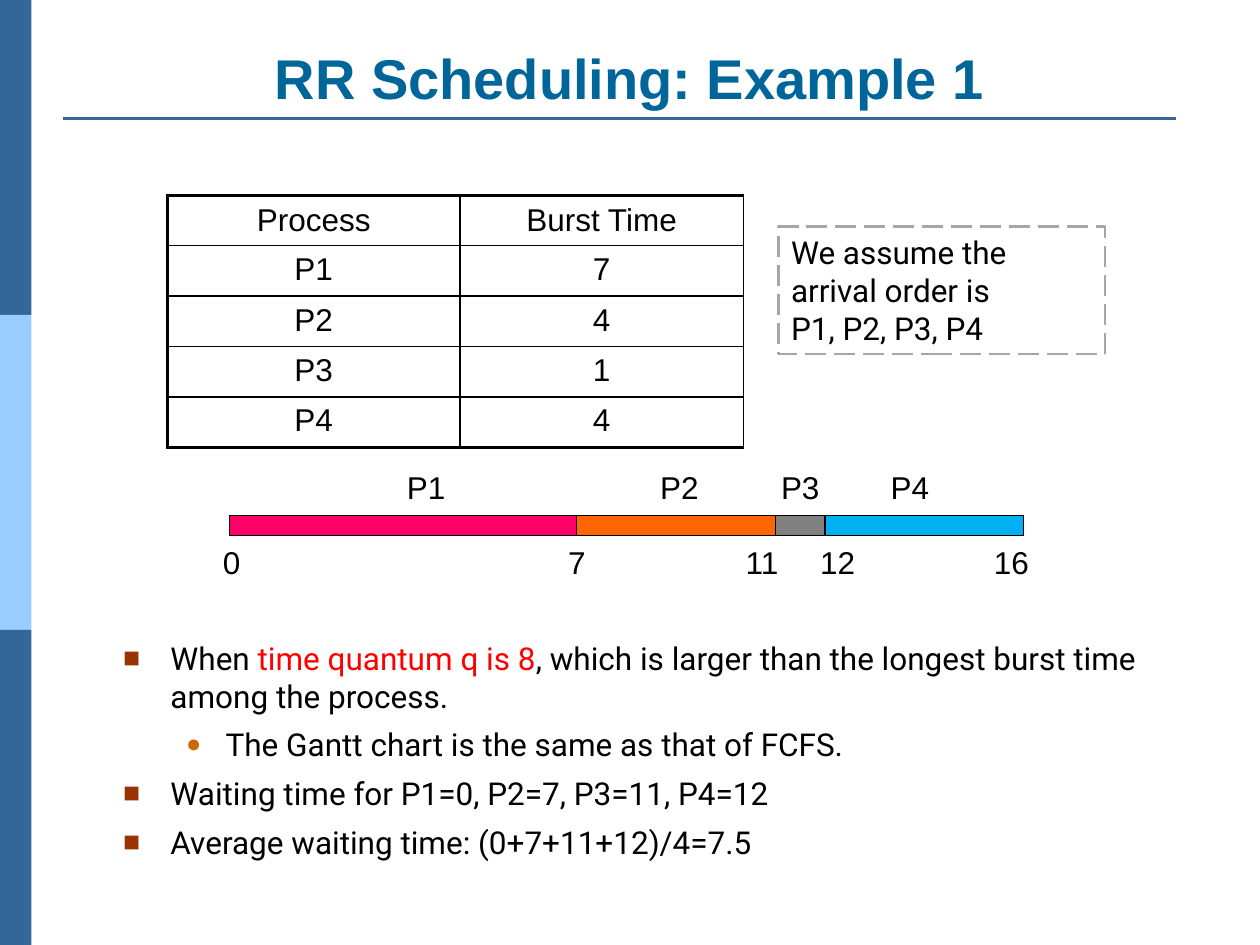
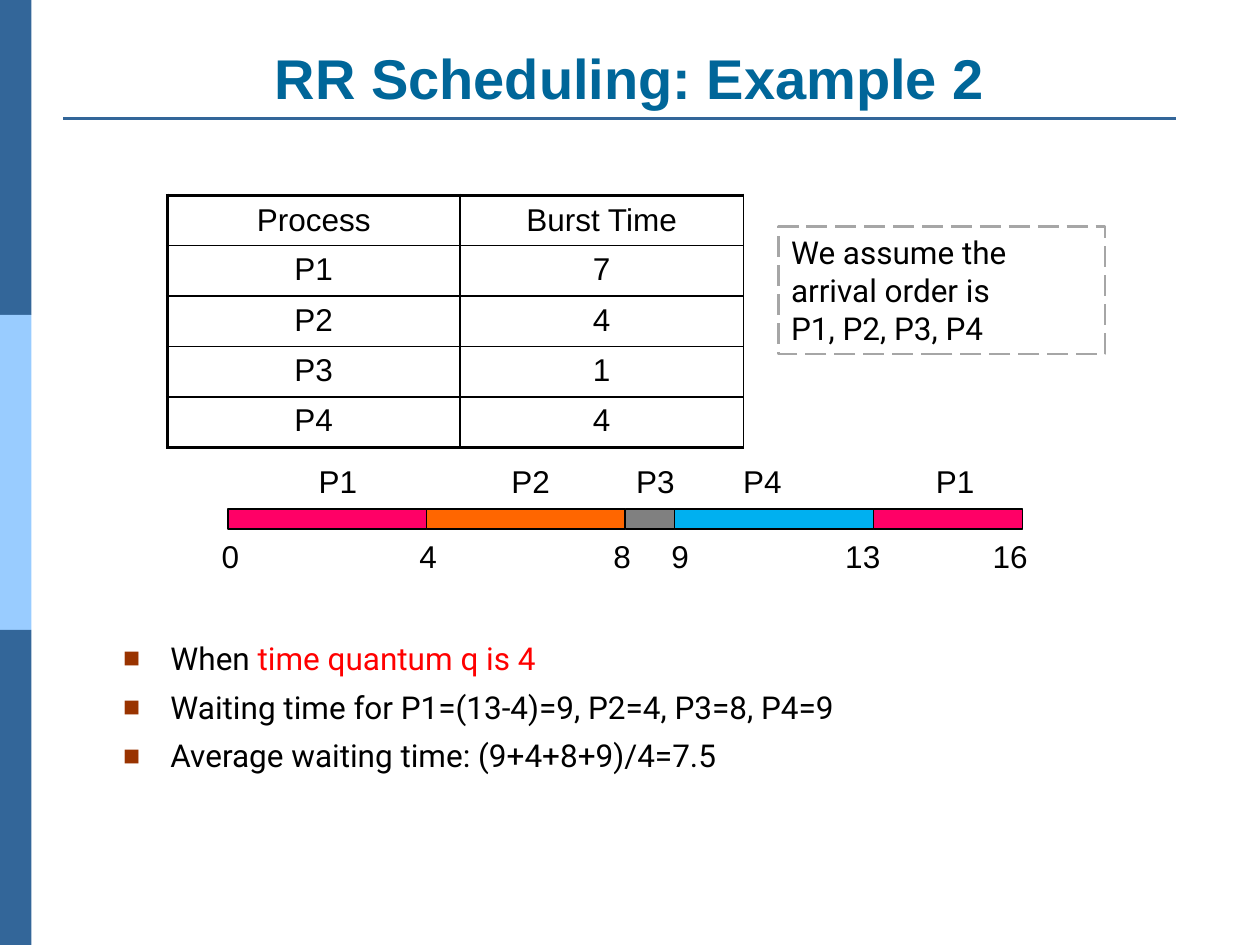
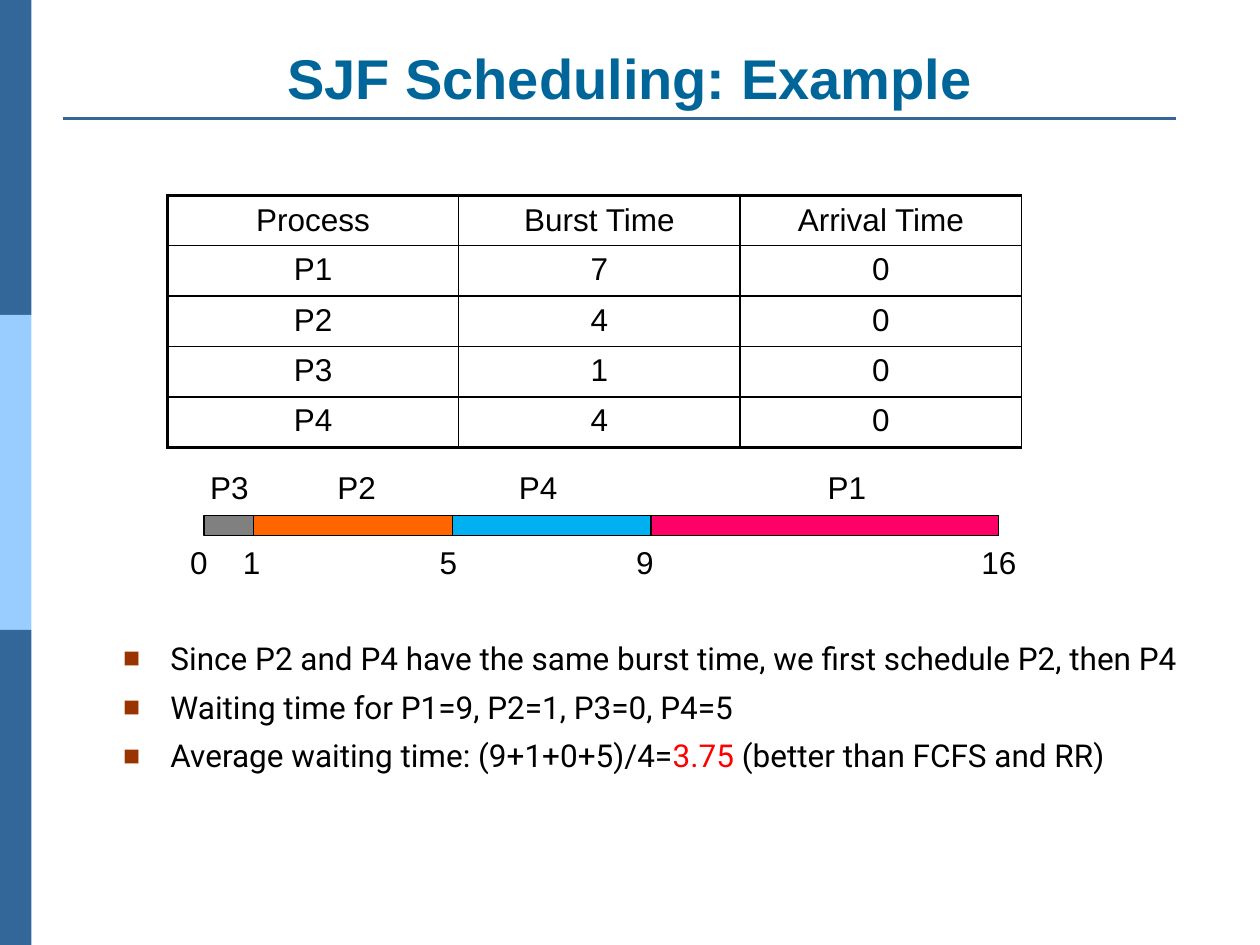
from lxml.etree import SubElement
from pptx import Presentation
from pptx.dml.color import RGBColor
from pptx.enum.dml import MSO_LINE
from pptx.enum.shapes import MSO_CONNECTOR, MSO_SHAPE
from pptx.enum.text import MSO_ANCHOR as ANCHOR, PP_ALIGN as ALIGN
from pptx.oxml.ns import qn
from pptx.util import Inches, Pt

# Shared style
BLACK = RGBColor(0x00, 0x00, 0x00)
RED = RGBColor(0xFF, 0x00, 0x00)
NAVY = RGBColor(0x33, 0x66, 0x99)
SKY = RGBColor(0x99, 0xCC, 0xFF)
TEAL = RGBColor(0x00, 0x66, 0x99)
GREY = RGBColor(0xA6, 0xA6, 0xA6)
BROWN = RGBColor(0x99, 0x33, 0x00)
OCHRE = RGBColor(0xCC, 0x66, 0x00)
JOB_COLORS = {
    "P1": RGBColor(0xFF, 0x00, 0x66),
    "P2": RGBColor(0xFF, 0x66, 0x00),
    "P3": RGBColor(0x80, 0x80, 0x80),
    "P4": RGBColor(0x00, 0xB0, 0xF0),
}
# Per level: margin and hang in columns, bullet sign, colour, size in percent
BULLETS = [(3.75, 3.75, "■", BROWN, 90), (8.13, 3.13, "●", OCHRE, 80)]

# Grid: 100 columns by 75 rows of square units
UNIT = Inches(0.1)
COLUMNS, ROWS = 100, 75
TIME_STEP = 3.94


def grid(*lengths):
    return [round(length * UNIT) for length in lengths]


class Deck:
    def __init__(self):
        self.show = Presentation()
        self.show.slide_width, self.show.slide_height = grid(COLUMNS, ROWS)
        self.page = None

    def new_page(self, title):
        self.page = self.show.slides.add_slide(self.show.slide_layouts[6])
        # Side band and title rule
        third = ROWS / 3
        for index, color in enumerate((NAVY, SKY, NAVY)):
            self.rect(0, index * third, 2.5, third, fill=color)
        rule = self.page.shapes.add_connector(
            MSO_CONNECTOR.STRAIGHT, *grid(5, 9.4, 93.3, 9.4))
        rule.line.color.rgb = NAVY
        rule.line.width = Pt(1.5)
        SubElement(rule._element.spPr, qn("a:effectLst"))
        self.text(5, 3, 90, 6.3, title, size=32, color=TEAL, bold=True,
                  align=ALIGN.CENTER, anchor=ANCHOR.BOTTOM)

    def style(self, para, size=18, font="Arial", color=BLACK, bold=False):
        for span in para.runs:
            span.font.size = Pt(size)
            span.font.name = font
            span.font.color.rgb = color
            span.font.bold = bold

    def rect(self, left, top, width, height, fill=None, line=None, weight=0.75):
        box = self.page.shapes.add_shape(
            MSO_SHAPE.RECTANGLE, *grid(left, top, width, height))
        box.shadow.inherit = False
        if fill is None:
            box.fill.background()
        else:
            box.fill.solid()
            box.fill.fore_color.rgb = fill
        if line is None:
            box.line.fill.background()
        else:
            box.line.color.rgb = line
            box.line.width = Pt(weight)
        return box

    def fill_text(self, box, text, align=ALIGN.LEFT, anchor=ANCHOR.TOP,
                  wrap=True, **font):
        frame = box.text_frame
        frame.text = text
        frame.word_wrap = wrap
        frame.vertical_anchor = anchor
        for para in frame.paragraphs:
            para.alignment = align
            self.style(para, **font)

    def text(self, left, top, width, height, text, **options):
        box = self.page.shapes.add_textbox(*grid(left, top, width, height))
        self.fill_text(box, text, **options)

    def note(self, text):
        box = self.rect(61.8, 18, 25.9, 10.1, line=GREY, weight=1.5)
        box.line.dash_style = MSO_LINE.LONG_DASH
        self.fill_text(box, text, font="Roboto")

    def borders(self, cell, **weights):
        for side in "LRTB":
            line = SubElement(cell._tc.get_or_add_tcPr(), qn(f"a:ln{side}"),
                              w=str(Pt(weights.get(side, 1))))
            fill = SubElement(line, qn("a:solidFill"))
            SubElement(fill, qn("a:srgbClr"), val=str(BLACK))

    def table(self, widths, rows):
        height = 4
        table = self.page.shapes.add_table(
            len(rows), len(widths),
            *grid(13.3, 15.5, sum(widths), height * len(rows))).table
        table.first_row = table.horz_banding = False
        for column, width in zip(table.columns, grid(*widths)):
            column.width = width
        for r, row in enumerate(rows):
            for c, value in enumerate(row):
                cell = table.cell(r, c)
                cell.text = value
                cell.vertical_anchor = ANCHOR.TOP if r else ANCHOR.MIDDLE
                para = cell.text_frame.paragraphs[0]
                para.alignment = ALIGN.CENTER
                self.style(para)
                self.borders(cell, L=1 if c else 2.25, T=1 if r else 2.25,
                             B=2.25 if r == len(rows) - 1 else 1)
                cell.fill.background()

    def gantt(self, left, top, start_left, jobs):
        """Each job: name, duration, left of its name, left of its end time."""
        def tick(tick_left, time):
            self.text(tick_left, top + 1.7, 5.5, 4, str(time))

        clock = 0
        tick(start_left, clock)
        for name, duration, name_left, end_left in jobs:
            self.rect(left + clock * TIME_STEP, top, duration * TIME_STEP, 1.6,
                      fill=JOB_COLORS[name], line=BLACK)
            self.text(name_left, top - 4.25, 5.1, 4, name, wrap=False)
            clock += duration
            tick(end_left, clock)

    def bullets(self, items):
        """Each item: level, then its text pieces; every second one is red."""
        box = self.page.shapes.add_textbox(*grid(8.8, 50.2, 90, 12.8))
        frame = box.text_frame
        frame.word_wrap = True
        for index, (level, *pieces) in enumerate(items):
            para = frame.add_paragraph() if index else frame.paragraphs[0]
            for piece in pieces:
                para.add_run().text = piece
            self.style(para, font="Roboto")
            for span in para.runs[1::2]:
                span.font.color.rgb = RED
            para.level = level
            if index:
                para.space_before = Pt(6.3)
            self.mark(para, *BULLETS[level])

    def mark(self, para, margin, hang, sign, color, percent):
        props = para._p.get_or_add_pPr()
        margin, hang = grid(margin, hang)
        props.set("marL", str(margin))
        props.set("indent", str(-hang))
        fill = SubElement(props, qn("a:buClr"))
        SubElement(fill, qn("a:srgbClr"), val=str(color))
        SubElement(props, qn("a:buSzPct"), val=str(percent * 1000))
        SubElement(props, qn("a:buFont"), typeface="Arial")
        SubElement(props, qn("a:buChar"), char=sign)


BURSTS = [("Process", "Burst Time"),
          ("P1", "7"), ("P2", "4"), ("P3", "1"), ("P4", "4")]
ARRIVALS = ["Arrival Time"] + ["0"] * 4
ORDER_NOTE = "We assume the\narrival order is\nP1, P2, P3, P4"


def round_robin(deck, number):
    deck.new_page(f"RR Scheduling: Example {number}")
    deck.table([23.2, 22.5], BURSTS)
    deck.note(ORDER_NOTE)


def main():
    deck = Deck()

    # Round robin, quantum 8
    round_robin(deck, 1)
    deck.gantt(18.2, 40.9, 16.7, [
        ("P1", 7, 31.3, 44.1), ("P2", 4, 51.4, 58.2),
        ("P3", 1, 61, 64.1), ("P4", 4, 69.7, 77.9)])
    deck.bullets([
        (0, "When ", "time quantum q is 8",
         ", which is larger than the longest burst time among the process."),
        (1, "The Gantt chart is the same as that of FCFS."),
        (0, "Waiting time for P1=0, P2=7, P3=11, P4=12"),
        (0, "Average waiting time: (0+7+11+12)/4=7.5")])

    # Round robin, quantum 4
    round_robin(deck, 2)
    deck.gantt(18.1, 40.4, 16.6, [
        ("P1", 4, 24.3, 32.3), ("P2", 4, 39.6, 47.7), ("P3", 1, 49.5, 52.3),
        ("P4", 4, 58, 66.1), ("P1", 3, 73.3, 77.8)])
    deck.bullets([
        (0, "When ", "time quantum q is 4"),
        (0, "Waiting time for P1=(13-4)=9, P2=4, P3=8, P4=9"),
        (0, "Average waiting time: (9+4+8+9)/4=7.5")])

    # Shortest job first
    deck.new_page("SJF Scheduling: Example")
    deck.table([23.1, 22.35, 22.35],
               [(*row, arrival) for row, arrival in zip(BURSTS, ARRIVALS)])
    deck.gantt(16.2, 40.9, 14.1, [
        ("P3", 1, 15.7, 18.3), ("P2", 4, 25.8, 33.9),
        ("P4", 4, 40.2, 49.5), ("P1", 7, 64.7, 76.9)])
    deck.bullets([
        (0, "Since P2 and P4 have the same burst time, we first schedule P2, then P4"),
        (0, "Waiting time for P1=9, P2=1, P3=0, P4=5"),
        (0, "Average waiting time: (9+1+0+5)/4=", "3.75 ",
         "(better than FCFS and RR)")])

    deck.show.save("out.pptx")


if __name__ == "__main__":
    main()
